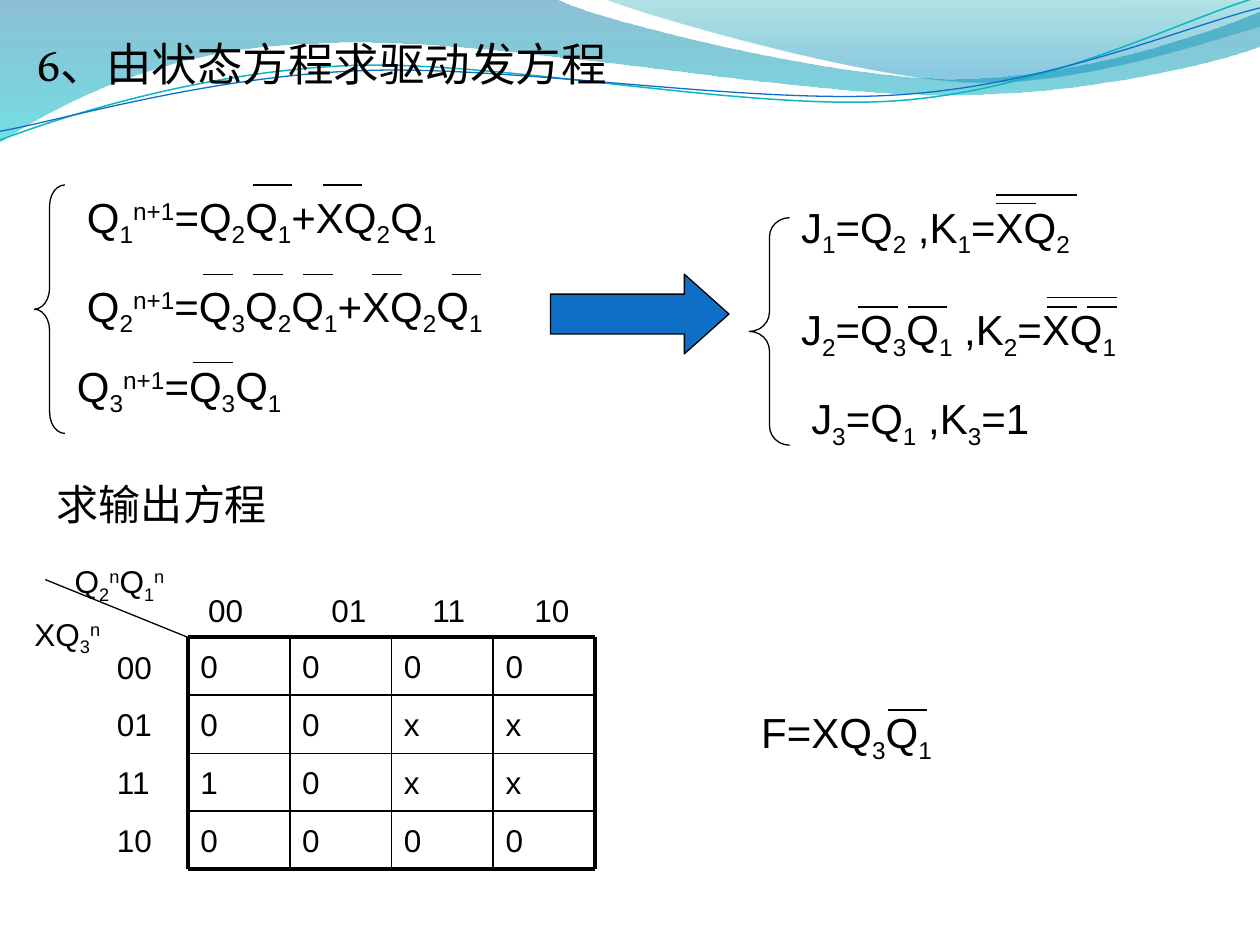
from dataclasses import dataclass
from lxml import etree
from pptx import Presentation
from pptx.dml.color import RGBColor
from pptx.enum import shapes as es, text as et
from pptx.oxml.ns import qn
from pptx.util import Pt


@dataclass(frozen=True)
class Theme:
    ink: str = "000000"
    blue: str = "0F6FC6"
    teal: str = "0AB8BF"
    wave: tuple = (("0074A1", 0, 45), ("00C6CF", 1, 55))
    glow: tuple = (("00A1A9", 0, 30), ("008BBF", 0.8, 45))
    serif: str = "Vollkorn"
    sans: str = "Arial"
    head: int = 26
    math: int = 24
    cell: int = 18
    thin: float = 0.75
    grid: float = 1
    frame: float = 2.25


T = Theme()

# A pair is a straight step; six numbers are a Bézier step.
WAVE = [(0, 0), (317, -1), (343, 12, 478, 45, 546, 45), (614, 45, 690, 19, 720, 6.5),
        (721, 26), (708, 32, 626, 55, 537, 54), (447, 54, 275, 20, 185, 24.5),
        (93, 26, 33, 60, -1, 81.5)]
GLOW = [(345, -1), (366.5, 8, 491, 44.5, 553.5, 47), (616, 49.5, 692, 23, 720, 15), (720, 0)]
TEAL = [(0, 80), (34.5, 67, 114, 41, 199.5, 37.5), (284.5, 34, 427, 64, 513.5, 57.5),
        (600, 51, 675.5, 11, 718.5, -1.5)]
BLUE = [(0, 75), (34, 69, 118, 44, 204, 40.5), (290, 36.5, 430, 60.5, 516, 54),
        (602, 48, 677.5, 15, 720, 4.5)]


def color(code):
    return RGBColor.from_string(code)


def box(x, y, w, h):
    return Pt(x), Pt(y), Pt(w), Pt(h)


def style(para, font, size):
    para.font.name, para.font.size = font, Pt(size)
    para.font.color.rgb = color(T.ink)


def pen(line, code=T.ink, width=T.thin):
    line.color.rgb, line.width = color(code), Pt(width)


def outline(slide, steps, closed):
    """Draw every point as a straight step, then join each Bézier's three into a curve."""
    pts = [[(Pt(x), Pt(y)) for x, y in zip(s[::2], s[1::2])] for s in steps]
    draft = slide.shapes.build_freeform(*pts[0][0])
    draft.add_line_segments(sum(pts[1:], []), close=closed)
    shape = draft.convert_to_shape()
    shape.shadow.inherit = False
    nodes = iter(list(shape.element.iter(qn("a:lnTo"))))
    for step in pts[1:]:
        first, *rest = [next(nodes) for _ in step]
        if rest:
            curve = etree.Element(qn("a:cubicBezTo"))
            first.addprevious(curve)
            for node in (first, *rest):
                curve.append(node[0])
                node.getparent().remove(node)
    return shape


def waves(slide):
    """Draw the header waves and hand them to the layout."""
    made = []
    for steps, stops in ((WAVE, T.wave), (GLOW, T.glow)):
        shape = outline(slide, steps, True)
        shape.line.fill.background()
        shape.fill.gradient()
        shape.fill.gradient_angle = 270
        for stop, (code, pos, _) in zip(shape.fill.gradient_stops, stops):
            stop.color.rgb, stop.position = color(code), pos
        for node, (_, _, alpha) in zip(shape.element.iter(qn("a:srgbClr")), stops):
            etree.SubElement(node, qn("a:alpha")).set("val", str(alpha * 1000))
        made.append(shape)
    for steps, code, width in ((TEAL, T.teal, 0.85), (BLUE, T.blue, T.thin)):
        shape = outline(slide, steps, False)
        shape.fill.background()
        pen(shape.line, code, width)
        made.append(shape)
    for i, shape in enumerate(made):
        slide.slide_layout.shapes.element.insert(2 + i, shape.element)


def heading(slide, x, y, w, h):
    title = slide.shapes.title
    title.left, title.top, title.width, title.height = box(x, y, w, h)
    frame = title.text_frame
    frame.text = "6、由状态方程求驱动发方程"
    frame.vertical_anchor = et.MSO_ANCHOR.TOP
    frame.auto_size = et.MSO_AUTO_SIZE.NONE
    para = frame.paragraphs[0]
    para.alignment, para.line_spacing = et.PP_ALIGN.LEFT, 0.9
    style(para, T.serif, T.head)


def rule(slide, x1, y1, x2, y2, width=T.thin):
    line = slide.shapes.add_connector(es.MSO_CONNECTOR.STRAIGHT, *box(x1, y1, x2, y2))
    pen(line.line, width=width)
    etree.SubElement(line.element.spPr, qn("a:effectLst"))


def label(slide, x, y, w, h, words, size=T.math, side=7.2, top=3.6):
    """Place text; parts split by | are lowered by _ and raised by ^."""
    frame = slide.shapes.add_textbox(*box(x, y, w, h)).text_frame
    frame.word_wrap = True
    frame.margin_left = frame.margin_right = Pt(side)
    frame.margin_top, frame.margin_bottom = Pt(top), Pt(min(top, 3.6))
    para = frame.paragraphs[0]
    style(para, T.sans, size)
    shift = {"_": "-25000", "^": "30000"}
    for part in words.split("|"):
        run = para.add_run()
        run.text = part.lstrip("_^")
        if part[0] in shift:
            run._r.get_or_add_rPr().set("baseline", shift[part[0]])


def formula(slide, x, y, w, words, bars=()):
    """Place a formula with negation bars, each (x, y, width) within its box."""
    label(slide, x, y, w, 36, words)
    for bx, by, bw in bars:
        rule(slide, x + bx, y + by, x + bx + bw, y + by)


def preset(slide, kind, area, *adjust):
    shape = slide.shapes.add_shape(kind, *box(*area))
    shape.shadow.inherit = False
    for i, value in enumerate(adjust):
        shape.adjustments[i] = value
    shape.fill.background()
    pen(shape.line)
    return shape


def states(slide, x, y):
    formula(slide, x + 23, y, 290, "Q|_1|^n+1|=Q|_2|Q|_1|+XQ|_2|Q|_1",
            [(bx, 0, 22.5) for bx in (102, 142)])
    formula(slide, x + 23, y + 51, 255, "Q|_2|^n+1|=Q|_3|Q|_2|Q|_1|+XQ|_2|Q|_1",
            [(bx, 0, 17) for bx in (73.5, 102, 130.5, 170, 215.5)])
    formula(slide, x + 17.3, y + 96.5, 193, "Q|_3|^n+1|=Q|_3|Q|_1", [(73.5, 5, 23)])
    preset(slide, es.MSO_SHAPE.LEFT_BRACE, (x, y, 17.5, 142), 0.69, 0.5)


def drives(slide, x, y):
    formula(slide, x + 22.5, y, 227, "J|_1|=Q|_2| ,K|_1|=XQ|_2",
            [(118.5, 5, 23), (118.5, 0, 46)])
    formula(slide, x + 22.5, y + 58.5, 227, "J|_2|=Q|_3|Q|_1| ,K|_2|=XQ|_1",
            [(39.5, 5.5, 23), (68, 5.5, 22.5), (147.5, 5.5, 17), (170.5, 5.5, 17),
             (147.5, 0, 40)])
    formula(slide, x + 28.3, y + 109.5, 148, "J|_3|=Q|_1| ,K|_3|=1")
    preset(slide, es.MSO_SHAPE.LEFT_BRACE, (x, y + 13, 23, 130), 0.48, 0.5)


def kmap(slide, x, y, w, h):
    """Draw the Karnaugh map with its axis labels around the given grid box."""
    rows = ("0000", "00xx", "10xx", "0000")
    size = len(rows)
    dx, dy = w / size, h / size
    for r, row in enumerate(rows):
        for c, mark in enumerate(row):
            label(slide, x + c * dx, y + r * dy, dx, dy, mark, T.cell, top=5.4)
    for i in range(size + 1):
        width = T.frame if i in (0, size) else T.grid
        rule(slide, x, y + i * dy, x + w, y + i * dy, width)
        rule(slide, x + i * dx, y, x + i * dx, y + h, width)
    rule(slide, x - 81.5, y - 33, x, y)
    axes = [(code, cx, -26.5, 32) for code, cx in
            zip(("00", "01", "11", "10"), (11.5, 82, 139.7, 198))]
    axes += [(code, -40.6, 6 + 32.9 * i, 33) for i, (code, *_) in enumerate(axes)]
    axes += [("XQ|_3|^n", -87.7, -13, 46), ("Q|_2|^n|Q|_1|^n", -64.7, -43.2, 56)]
    for words, ax, ay, aw in axes:
        label(slide, x + ax, y + ay, aw, 21.5, words, T.cell, 0, 0)


def main():
    deck = Presentation()
    deck.slide_width, deck.slide_height = Pt(720), Pt(540)
    slide = deck.slides.add_slide(deck.slide_layouts[5])
    waves(slide)
    heading(slide, 14.2, 20.3, 648, 45.5)
    states(slide, 19.6, 105.7)
    drives(slide, 428.2, 111.4)
    arrow = preset(slide, es.MSO_SHAPE.RIGHT_ARROW, (314.6, 156.7, 102, 45.5), 0.5, 0.56)
    arrow.fill.solid()
    arrow.fill.fore_color.rgb = color(T.blue)
    label(slide, 25.5, 270, 402, 36, "求输出方程")
    kmap(slide, 107.4, 364.2, 232.6, 132.6)
    formula(slide, 427.9, 400.3, 119, "F=XQ|_3|Q|_1", [(79.6, 5.5, 22.5)])
    deck.save("out.pptx")


if __name__ == "__main__":
    main()
